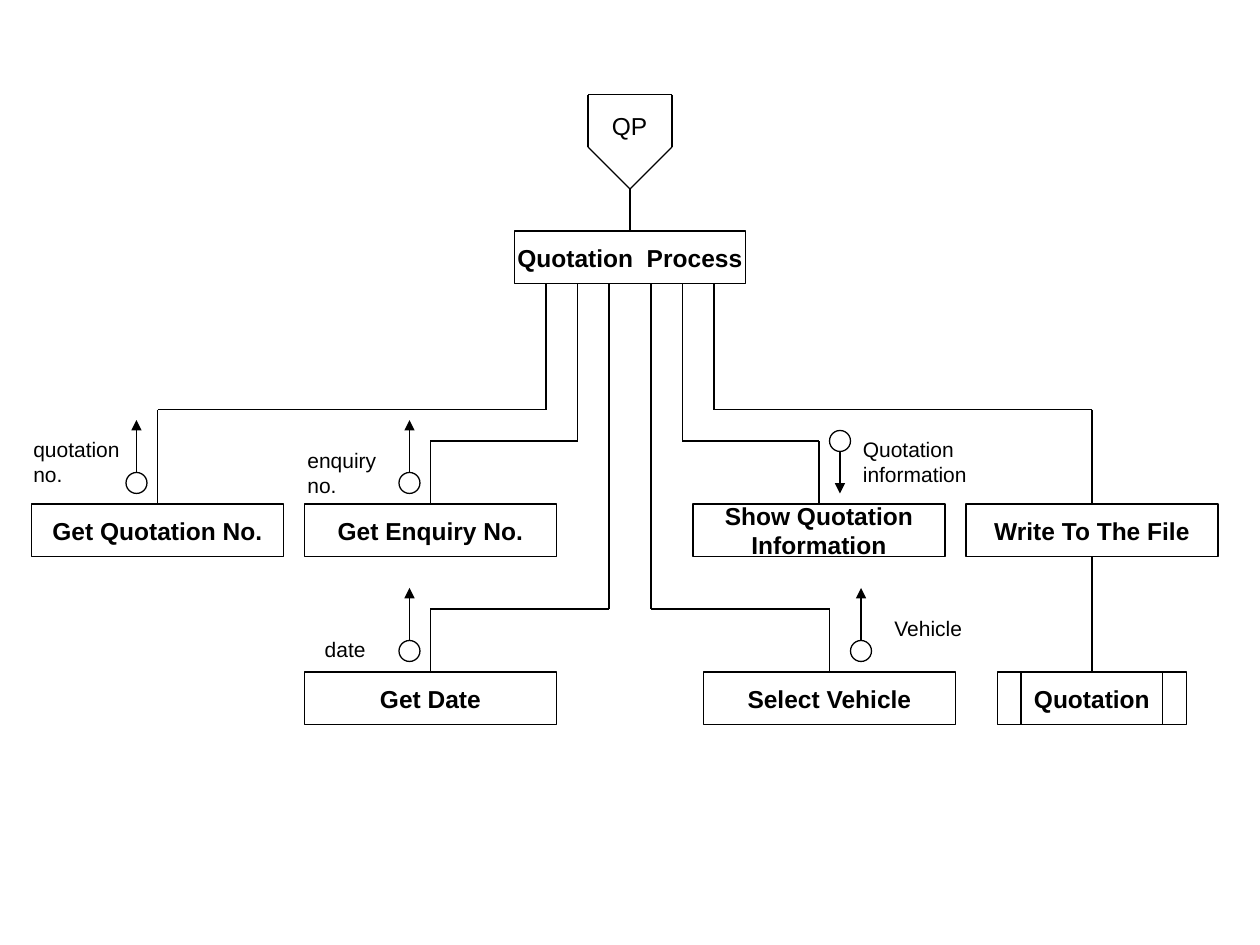
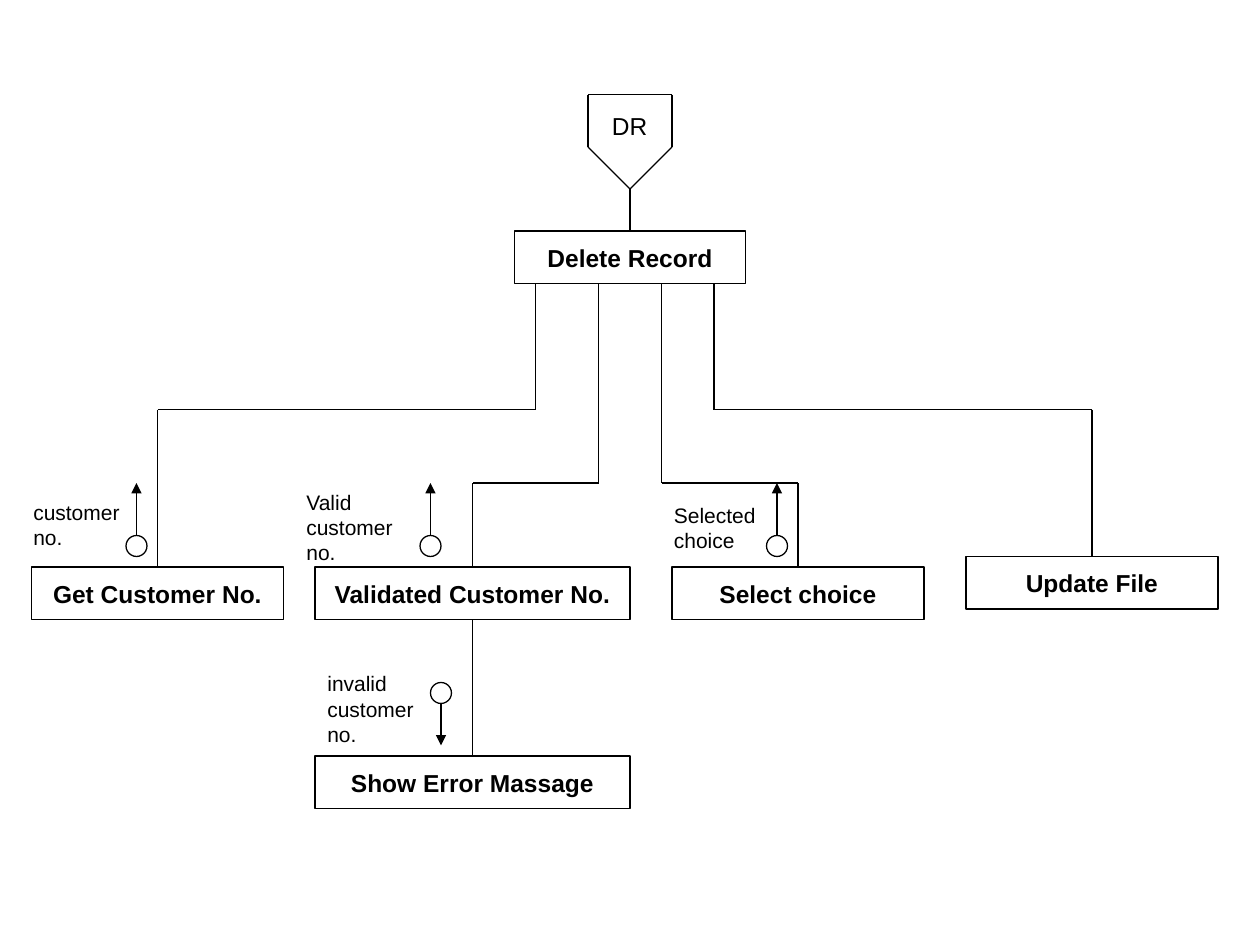
import lxml.etree
import pptx
import pptx.dml.color
import pptx.enum.shapes
import pptx.enum.text
import pptx.oxml.ns
import pptx.util

Kind = pptx.enum.shapes.MSO_SHAPE
Align = pptx.enum.text.PP_ALIGN
Anchor = pptx.enum.text.MSO_ANCHOR
Fit = pptx.enum.text.MSO_AUTO_SIZE
qn = pptx.oxml.ns.qn

theme = {
    "ink": pptx.dml.color.RGBColor(0, 0, 0),
    "paper": pptx.dml.color.RGBColor(255, 255, 255),
    "line": pptx.util.Pt(0.75),
    "step": {"name": "Arial", "size": pptx.util.Pt(14), "bold": True},
    "root": {"name": "Arial", "size": pptx.util.Pt(14), "bold": False},
    "note": {"name": "Arial", "size": pptx.util.Pt(12), "bold": False},
}

inch = 2.54
grid = inch / 12
high = 5

charts = [
    {
        "root": "QP",
        "steps": [
            ("Quotation  Process", 49, 22, 22),
            ("Get Quotation No.", 3, 48, 24),
            ("Get Enquiry No.", 29, 48, 24),
            ("Show Quotation\nInformation", 66, 48, 24),
            ("Write To The File", 92, 48, 24),
            ("Get Date", 29, 64, 24),
            ("Select Vehicle", 67, 64, 24),
        ],
        "stores": [("Quotation", 95, 64, 18)],
        "forks": [
            (52, 39, 15, 48), (55, 42, 41, 48), (58, 58, 41, 64),
            (62, 58, 79, 64), (65, 42, 78, 48), (68, 39, 104, 48),
        ],
        "link": (104, 53, 64),
        "flows": [(13, 46, 40), (39, 46, 40), (80, 42, 47), (82, 62, 56), (39, 62, 56)],
        "notes": [
            ("quotation\nno.", 2, 41, 11.5, 6),
            ("enquiry\nno.", 28.1, 42, 9.8, 8.4),
            ("Quotation\ninformation", 81, 41, 13, 8.4),
            ("date", 29.75, 60, 7, 6),
            ("Vehicle", 84, 58, 10, 6),
        ],
    },
    {
        "root": "DR",
        "steps": [
            ("Delete Record", 49, 22, 22),
            ("Get Customer No.", 3, 54, 24),
            ("Validated Customer No.", 30, 54, 30),
            ("Select choice", 64, 54, 24),
            ("Update File", 92, 53, 24),
            ("Show Error Massage", 30, 72, 30),
        ],
        "stores": [],
        "forks": [(51, 39, 15, 54), (57, 46, 45, 54), (63, 46, 76, 54), (68, 39, 104, 53)],
        "link": (45, 59, 72),
        "flows": [(13, 52, 46), (41, 52, 46), (74, 52, 46), (42, 66, 71)],
        "notes": [
            ("customer\nno.", 2, 47, 11.5, 6),
            ("Valid\ncustomer\nno.", 28, 46, 11.5, 10.8),
            ("invalid\ncustomer\nno.", 30, 63.3, 11.5, 10.8),
            ("Selected\nchoice", 63, 47.25, 15, 10.8),
        ],
    },
]


def draw(slide, points, arrow=False):
    for start, end in zip(points, points[1:]):
        ends = [pptx.util.Cm(round(grid * n, 3)) for n in (*start, *end)]
        stroke = slide.shapes.add_connector(pptx.enum.shapes.MSO_CONNECTOR.STRAIGHT, *ends)
        stroke.line.width = theme["line"]
        stroke.line.color.rgb = theme["ink"]
        props = stroke.element.spPr
        if arrow:
            lxml.etree.SubElement(props.find(qn("a:ln")), qn("a:tailEnd"), type="triangle")
        lxml.etree.SubElement(props, qn("a:effectLst"))


def place(slide, kind, box, text="", style="note"):
    area = [pptx.util.Cm(round(grid * n, 3)) for n in box]
    if kind is None:
        shape = slide.shapes.add_textbox(*area)
        align = Align.LEFT
        rules = {"word_wrap": True, "auto_size": Fit.SHAPE_TO_FIT_TEXT}
    else:
        shape = slide.shapes.add_shape(kind, *area)
        shape.shadow.inherit = False
        shape.fill.solid()
        shape.fill.fore_color.rgb = theme["paper"]
        shape.line.color.rgb = theme["ink"]
        shape.line.width = theme["line"]
        align = Align.CENTER
        rules = {"word_wrap": False, "vertical_anchor": Anchor.MIDDLE}
    if not text:
        return
    frame = shape.text_frame
    frame.text = text
    for key, value in rules.items():
        setattr(frame, key, value)
    for para in frame.paragraphs:
        para.alignment = align
        for key, value in theme[style].items():
            setattr(para.font, key, value)
        para.font.color.rgb = theme["ink"]


deck = pptx.Presentation()
deck.slide_width = pptx.util.Cm(10 * inch)
deck.slide_height = pptx.util.Cm(7.5 * inch)

for chart in charts:
    slide = deck.slides.add_slide(deck.slide_layouts[6])
    draw(slide, [(56, 9), (64, 9), (64, 14), (60, 18), (56, 14), (56, 9)])
    draw(slide, [(60, 18), (60, 22)])
    place(slide, None, (57.1, 10, 6.5, 4), chart["root"], "root")
    for start, bend, end, foot in chart["forks"]:
        draw(slide, [(start, 27), (start, bend), (end, bend), (end, foot)])
    x, top, foot = chart["link"]
    draw(slide, [(x, top), (x, foot)])
    for kind, group in ((Kind.FLOWCHART_PROCESS, "steps"),
                        (Kind.FLOWCHART_PREDEFINED_PROCESS, "stores")):
        for text, x, y, wide in chart[group]:
            place(slide, kind, (x, y, wide, high), text, "step")
    for x, tail, head in chart["flows"]:
        draw(slide, [(x, tail), (x, head)], arrow=True)
        place(slide, Kind.OVAL, (x - 1, tail - 1, 2, 2))
    for text, x, y, wide, tall in chart["notes"]:
        place(slide, None, (x, y, wide, tall), text)

deck.save("out.pptx")
